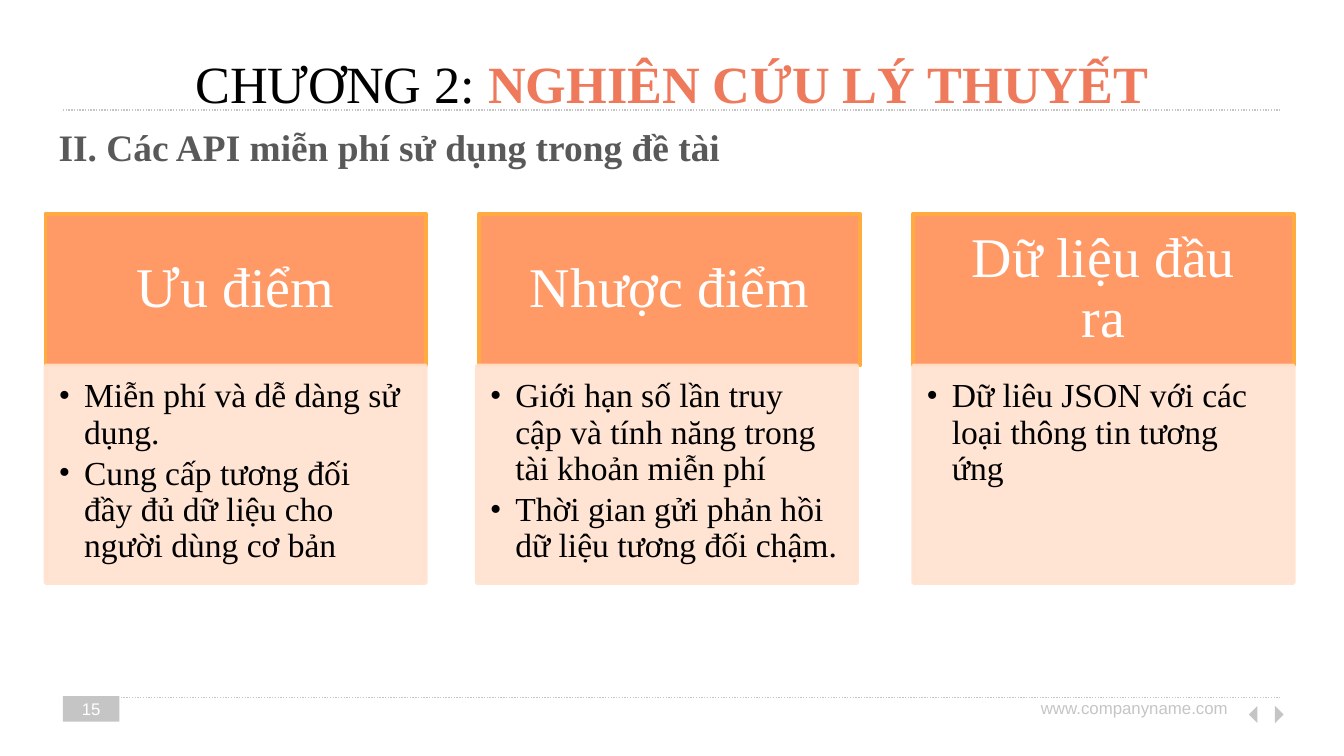
from lxml import etree
from pptx import Presentation
from pptx import util as u
from pptx.dml.color import RGBColor
from pptx.enum import dml, shapes
from pptx.enum import text as txt
from pptx.oxml import ns

BLACK = RGBColor(0x00, 0x00, 0x00)
WHITE = RGBColor(0xFF, 0xFF, 0xFF)
GRAY = RGBColor(0xC6, 0xC5, 0xC5)
DARK_GRAY = RGBColor(0x59, 0x59, 0x59)
CORAL = RGBColor(0xEE, 0x79, 0x5B)
ORANGE = RGBColor(0xFF, 0x99, 0x66)
AMBER = RGBColor(0xFF, 0xAB, 0x40)
PEACH = RGBColor(0xFF, 0xE2, 0xCF)

SERIF, SANS = "Times New Roman", "Arial"
CENTER, RIGHT = txt.PP_ALIGN.CENTER, txt.PP_ALIGN.RIGHT
TOP, MIDDLE = txt.MSO_ANCHOR.TOP, txt.MSO_ANCHOR.MIDDLE


def add_run(paragraph, content, font=SERIF, size=18, color=BLACK, bold=False):
    run = paragraph.add_run()
    run.text = content
    run.font.name = font
    run.font.size = u.Pt(size)
    run.font.color.rgb = color
    run.font.bold = bold


def sub(parent, tag, **attributes):
    return etree.SubElement(parent, ns.qn(tag), attributes)


class SlideBuilder:
    inset = 0.25

    def __init__(self, slide):
        self.slide = slide

    def frame(self, shape, anchor=TOP, insets=None):
        """Prepare a text frame; insets run left, top, right, bottom in cm."""
        frame = shape.text_frame
        frame.word_wrap = True
        frame.vertical_anchor = anchor
        sides = insets or [self.inset] * 4
        (frame.margin_left, frame.margin_top,
         frame.margin_right, frame.margin_bottom) = map(u.Cm, sides)
        return frame

    def label(self, box, runs, align=None, **frame_format):
        """Text box with one paragraph of (text, format) runs."""
        shape = self.slide.shapes.add_textbox(*map(u.Cm, box))
        paragraph = self.frame(shape, **frame_format).paragraphs[0]
        paragraph.alignment = align
        for content, style in runs:
            add_run(paragraph, content, **style)

    def shape(self, box, fill, kind=shapes.MSO_SHAPE.RECTANGLE,
              line=None, alpha=None, rotation=0):
        shape = self.slide.shapes.add_shape(kind, *map(u.Cm, box))
        shape.shadow.inherit = False
        shape.rotation = rotation
        shape.fill.solid()
        shape.fill.fore_color.rgb = fill
        if line is None:
            shape.line.fill.background()
        else:
            shape.line.color.rgb = line
            shape.line.width = u.Pt(2)
        if alpha:
            for color in shape._element.spPr.iter(ns.qn("a:srgbClr")):
                sub(color, "a:alpha", val=str(alpha * 1000))
        return shape

    def dotted_rule(self, left, right, y):
        rule = self.slide.shapes.add_connector(
            shapes.MSO_CONNECTOR.STRAIGHT,
            u.Cm(left), u.Cm(y), u.Cm(right), u.Cm(y))
        rule.line.color.rgb = GRAY
        rule.line.width = u.Pt(0.75)
        rule.line.dash_style = dml.MSO_LINE.ROUND_DOT
        sub(rule._element.spPr, "a:effectLst")

    def card_header(self, box, heading):
        shape = self.shape(box, ORANGE, line=AMBER)
        frame = self.frame(shape, MIDDLE, (0.58, 0.33, 0.58, 0.33))
        paragraph = frame.paragraphs[0]
        paragraph.alignment = CENTER
        paragraph.line_spacing = 0.9
        add_run(paragraph, heading, size=30, color=WHITE)

    def card_body(self, box, points):
        shape = self.shape(box, PEACH, line=PEACH, alpha=90)
        frame = self.frame(shape, TOP, (0.25, 0.25, 0.36, 0.41))
        for index, point in enumerate(points):
            paragraph = frame.add_paragraph() if index else frame.paragraphs[0]
            paragraph.level = 1
            paragraph.alignment = txt.PP_ALIGN.LEFT
            paragraph.line_spacing = 0.9
            paragraph.space_before = u.Pt(0)
            paragraph.space_after = u.Pt(2.7)
            properties = paragraph._p.get_or_add_pPr()
            properties.set("marL", str(u.Cm(0.48)))
            properties.set("indent", str(-u.Cm(0.48)))
            bullet_color = sub(properties, "a:buClr")
            sub(bullet_color, "a:srgbClr", val=str(BLACK))
            sub(properties, "a:buFont", typeface=SERIF)
            sub(properties, "a:buChar", char="•")
            add_run(paragraph, point)


def main():
    presentation = Presentation()
    presentation.slide_width = u.Cm(25.4)
    presentation.slide_height = u.Cm(14.29)
    build = SlideBuilder(
        presentation.slides.add_slide(presentation.slide_layouts[6]))

    # Rules under the title and above the footer
    for y in (13.18, 2.08):
        build.dotted_rule(1.19, 24.21, y)

    # Footer: page number, address and navigation arrows
    small = dict(font=SANS, size=9)
    page_box = (1.19, 13.16, 1.07, 0.48)
    build.shape(page_box, GRAY)
    build.label(page_box, [("15", dict(small, color=WHITE))],
                CENTER, anchor=MIDDLE)
    build.label((19.18, 13.0, 4.27, 0.48),
                [("www.companyname.com", dict(small, color=GRAY))], RIGHT)
    for left, rotation in ((23.65, 45), (23.98, 225)):
        build.shape((left, 13.39, 0.23, 0.23), GRAY,
                    shapes.MSO_SHAPE.RIGHT_TRIANGLE, rotation=rotation)

    # Title and section heading
    build.label((0.86, 0.58, 23.67, 1.7),
                [("CHƯƠNG 2: ", dict(size=28)),
                 ("NGHIÊN CỨU LÝ THUYẾT",
                  dict(size=28, color=CORAL, bold=True))],
                CENTER, insets=(0.25, 0.38, 0.25, 0.25))
    build.label((0.86, 2.16, 23.67, 1.22),
                [("II. Các API miễn phí sử dụng trong đề tài",
                  dict(size=20, color=DARK_GRAY, bold=True))], anchor=MIDDLE)

    # Three cards: heading, points, sideways shift of the body
    cards = [
        ("Ưu điểm",
         ["Miễn phí và dễ dàng sử dụng.",
          "Cung cấp tương đối đầy đủ dữ liệu cho người dùng cơ bản"], 0),
        ("Nhược điểm",
         ["Giới hạn số lần truy cập và tính năng trong tài khoản miễn phí",
          "Thời gian gửi phản hồi dữ liệu tương đối chậm."], -0.05),
        ("Dữ liệu đầu ra",
         ["Dữ liêu JSON với các loại thông tin tương ứng"], 0),
    ]
    first_left, pitch, width = 0.86, 8.2, 7.19
    top, header_height, body_height = 4.04, 2.87, 4.11
    for column, (heading, points, shift) in enumerate(cards):
        left = first_left + column * pitch
        build.card_header((left, top, width, header_height), heading)
        build.card_body(
            (left + shift, top + header_height, width, body_height), points)

    presentation.save("out.pptx")


if __name__ == "__main__":
    main()
